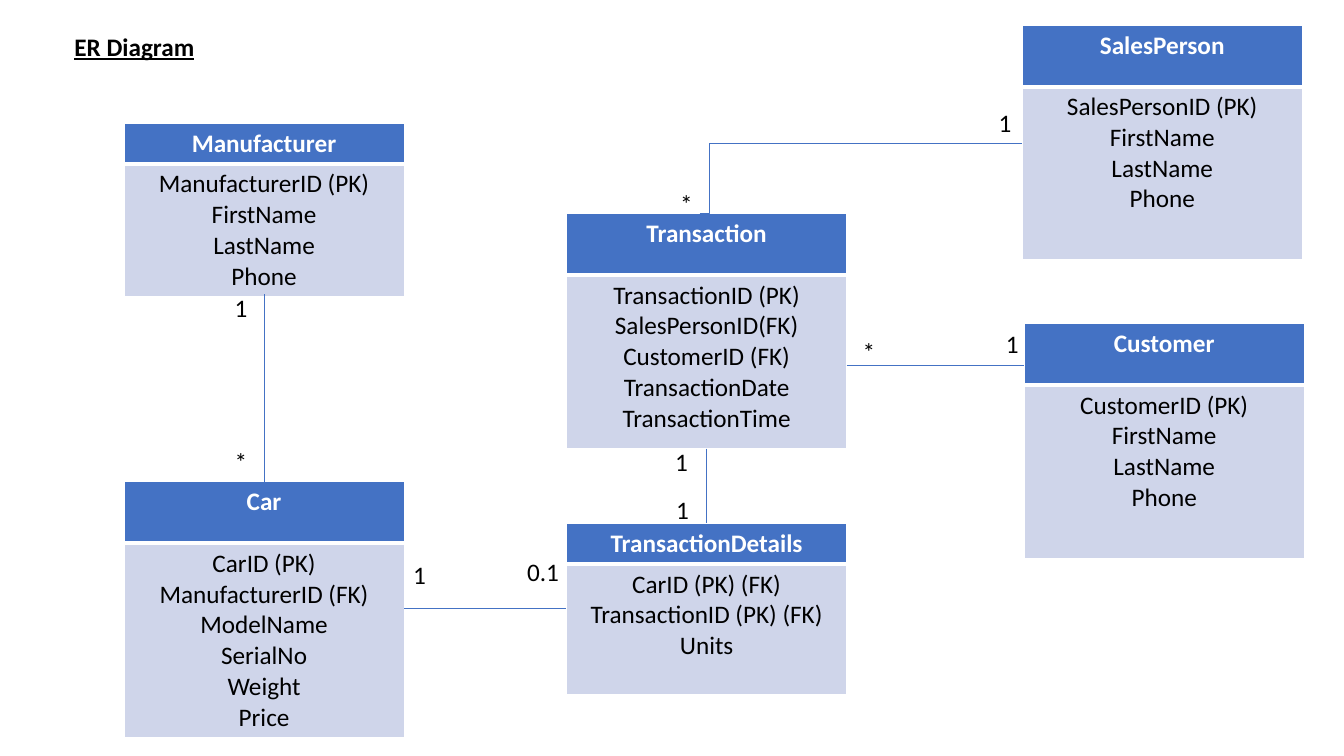
from lxml import etree
from pptx import Presentation, util as u
from pptx.dml.color import RGBColor
from pptx.enum import shapes, text
from pptx.oxml.ns import qn

BLUE = RGBColor(0x44, 0x72, 0xC4)
PALE = RGBColor(0xCF, 0xD5, 0xEA)
WHITE = RGBColor(255, 255, 255)
BLACK = RGBColor(0, 0, 0)

# Grid of tenth-inch cells
CELL = u.Inches(0.1)
WIDE, HIGH = 133.33, 75
BOX = 27.8            # entity width
LOW, TALL = 4, 6.1    # header heights
LEFT, MID, RIGHT = 12.3, 56.2, 101.4

# Name, column, row, header height, body height, fields
TABLES = [
    ("Manufacturer", LEFT, 12.2, LOW, 13,
     ["ManufacturerID (PK)", "FirstName", "LastName", "Phone"]),
    ("Car", LEFT, 47.8, TALL, 19,
     ["CarID (PK)", "ManufacturerID (FK)", "ModelName", "SerialNo",
      "Weight", "Price"]),
    ("TransactionDetails", MID, 51.9, LOW, 13,
     ["CarID (PK) (FK)", "TransactionID (PK) (FK)", "Units"]),
    ("SalesPerson", RIGHT, 2.5, TALL, 17.2,
     ["SalesPersonID (PK)", "FirstName", "LastName", "Phone"]),
    ("Transaction", MID, 21.2, TALL, 17.2,
     ["TransactionID (PK)", "SalesPersonID(FK)", "CustomerID (FK)",
      "TransactionDate", "TransactionTime"]),
    ("Customer", RIGHT + 0.2, 32.1, TALL, 17.2,
     ["CustomerID (PK)", "FirstName", "LastName", "Phone"]),
]

# Straight links: start and end points
LINKS = [
    (26.2, 29.2, 26.2, 47.8),
    (LEFT + BOX, 60.4, MID, 60.4),
    (70.1, 44.5, 70.1, 51.9),
    (MID + BOX, 36.2, RIGHT + 0.2, 36.2),
]

# Multiplicity marks: text, column, row, width
MARKS = [
    ("1", 22.3, 28.5, 3.3), ("*", 22.3, 43.8, 3.3),
    ("1", 40, 55, 3.3), ("0.1", 51.3, 54.7, 5.2),
    ("1", 66, 43.8, 3.3), ("1", 66.1, 48.6, 3.3),
    ("1", 98.1, 10.2, 3.3), ("*", 66.5, 18.2, 3.3),
    ("*", 84.6, 32.9, 3.3), ("1", 98.8, 32.1, 3.3),
]


def grid(*cells):
    return [round(n * CELL) for n in cells]


def style(frame, color, bold=False, line=False, align=None):
    for para in frame.paragraphs:
        para.alignment = align
        for run in para.runs:
            font = run.font
            font.name, font.size = "Calibri", u.Pt(18)
            font.bold, font.underline = bold, line
            font.color.rgb = color


def border(cell, base):
    props = cell._tc.get_or_add_tcPr()
    for side, size in (("L", 1), ("R", 1), ("T", 1), ("B", base)):
        edge = etree.SubElement(props, qn("a:ln" + side), w=str(u.Pt(size)))
        fill = etree.SubElement(edge, qn("a:solidFill"))
        etree.SubElement(fill, qn("a:srgbClr"), val=str(WHITE))


def entity(slide, name, col, row, head, body, fields):
    area = grid(col, row, BOX, head + body)
    table = slide.shapes.add_table(2, 1, *area).table
    table.first_row = table.horz_banding = False
    parts = [(name, head, BLUE, WHITE, True, 3),
             ("\n".join(fields), body, PALE, BLACK, False, 1)]
    for i, (words, size, fill, ink, bold, base) in enumerate(parts):
        table.rows[i].height = grid(size)[0]
        cell = table.cell(i, 0)
        cell.text_frame.text = words
        style(cell.text_frame, ink, bold, align=text.PP_ALIGN.CENTER)
        border(cell, base)
        cell.fill.solid()
        cell.fill.fore_color.rgb = fill


def link(slide, ends, kind=shapes.MSO_CONNECTOR.STRAIGHT):
    wire = slide.shapes.add_connector(kind, *grid(*ends))
    wire.line.color.rgb = BLUE
    wire.line.width = u.Pt(0.5)
    etree.SubElement(wire._element.spPr, qn("a:effectLst"))
    return wire


def elbow(slide, ends, bend):
    wire = link(slide, ends, shapes.MSO_CONNECTOR.ELBOW)
    geom = wire._element.spPr.find(qn("a:prstGeom"))
    rules = geom.find(qn("a:avLst"))
    if rules is None:
        rules = etree.SubElement(geom, qn("a:avLst"))
    etree.SubElement(rules, qn("a:gd"), name="adj1",
                     fmla=f"val {round(bend * 100000)}")


def label(slide, words, col, row, width, wrap=False, bold=False, line=False):
    frame = slide.shapes.add_textbox(*grid(col, row, width, 4)).text_frame
    frame.text = words
    frame.word_wrap = wrap
    frame.auto_size = text.MSO_AUTO_SIZE.SHAPE_TO_FIT_TEXT
    style(frame, BLACK, bold, line)


def main():
    deck = Presentation()
    deck.slide_width, deck.slide_height = grid(WIDE, HIGH)
    slide = deck.slides.add_slide(deck.slide_layouts[6])

    # Entities
    for item in TABLES:
        entity(slide, *item)

    # Relations
    for ends in LINKS:
        link(slide, ends)
    elbow(slide, (69.4, 21.2, RIGHT, 14.2), 0.03)

    # Marks and title
    for mark in MARKS:
        label(slide, *mark)
    label(slide, "ER Diagram", 6.4, 2.6, 29.6, wrap=True, bold=True, line=True)

    deck.save("out.pptx")


main()
